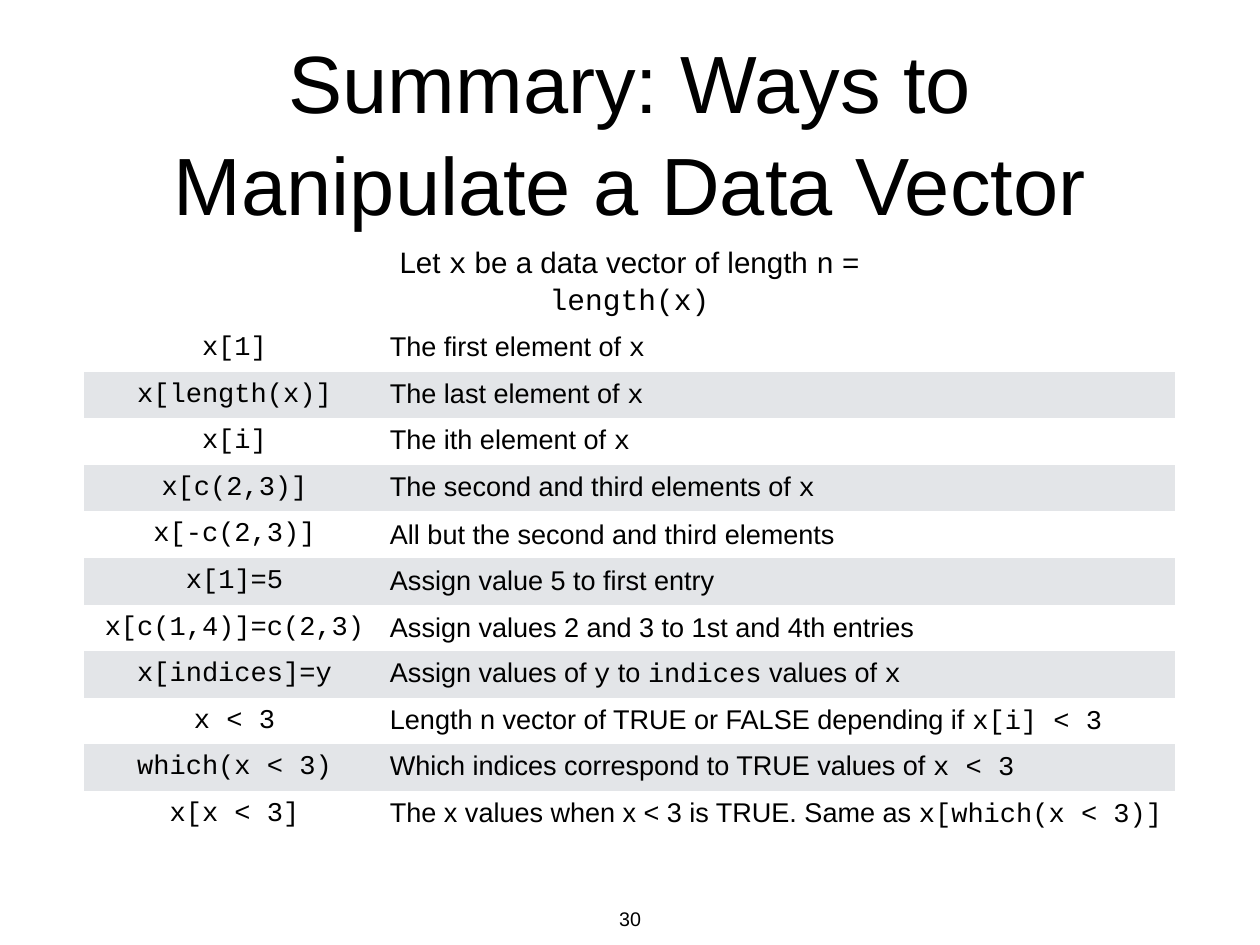
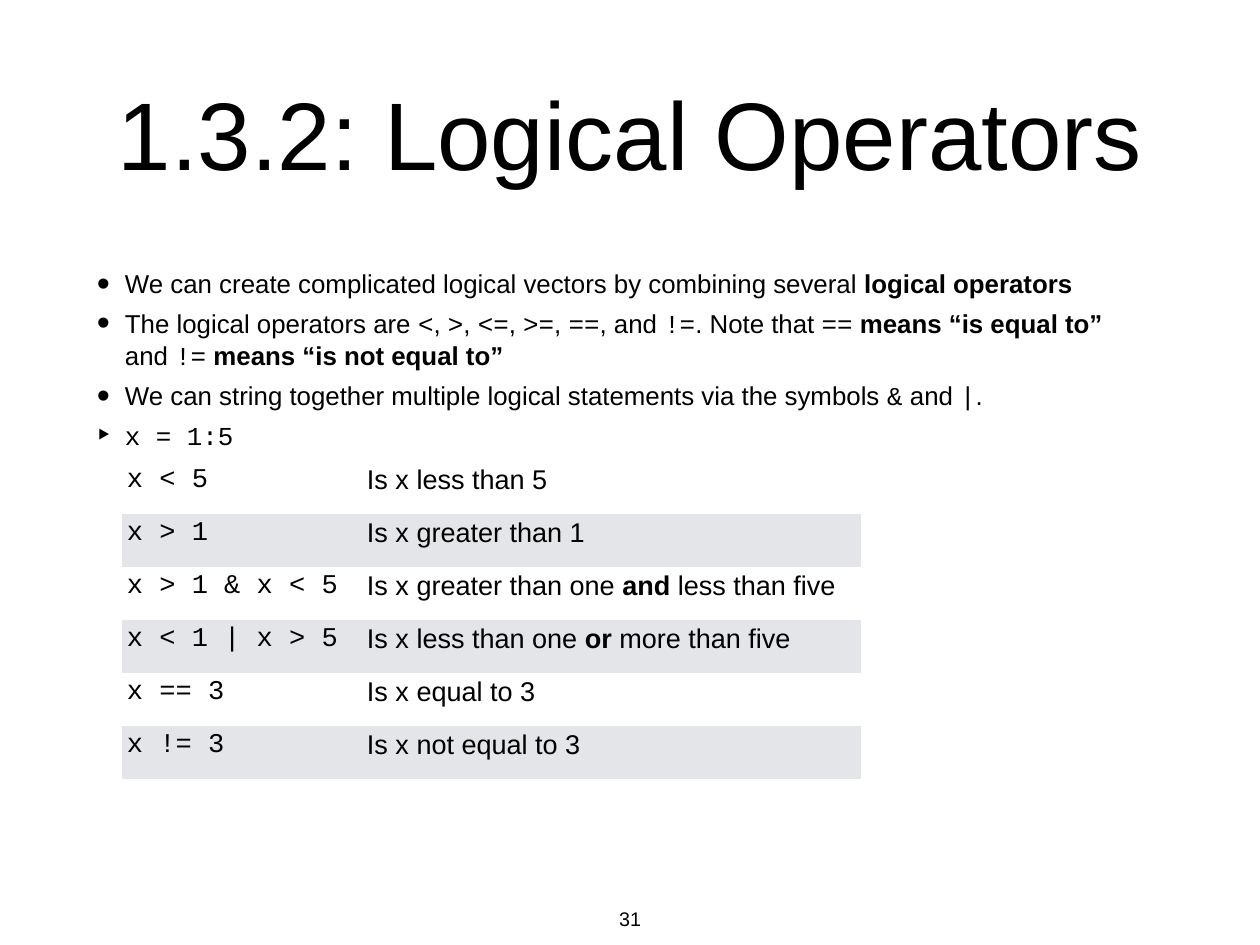
from dataclasses import dataclass

from lxml.etree import SubElement
from pptx import Presentation
from pptx.dml.color import RGBColor
from pptx.enum.text import MSO_ANCHOR, MSO_AUTO_SIZE, PP_ALIGN
from pptx.oxml.ns import qn
from pptx.util import Pt

PX = 10320
NO_STYLE_NO_GRID = "{2D5ABB26-0587-4C30-8999-92F81FD0307C}"


@dataclass(frozen=True)
class Theme:
    ink: RGBColor = RGBColor(0x00, 0x00, 0x00)
    row_fills: tuple = (RGBColor(0xFF, 0xFF, 0xFF), RGBColor(0xE3, 0xE5, 0xE8))
    prose: str = "Arial"
    code: str = "Courier New"
    caption: int = 24
    cell: int = 22
    bullet: int = 21
    page_number: int = 16
    line_spacing: float = 1.05


THEME = Theme()
FRAME_FORMAT = {
    "word_wrap": True,
    "auto_size": MSO_AUTO_SIZE.NONE,
    "vertical_anchor": MSO_ANCHOR.MIDDLE,
    "margin_left": 5 * PX,
    "margin_right": 5 * PX,
    "margin_top": 5 * PX,
    "margin_bottom": 5 * PX,
}


def write(para, text, size, align=PP_ALIGN.LEFT):
    """Fill a paragraph; `backticks` enclose code and *asterisks* enclose bold."""
    para.alignment = align
    for code_index, part in enumerate(text.split("`")):
        for bold_index, words in enumerate(part.split("*")):
            if not words:
                continue
            span = para.add_run()
            span.text = words
            font_format = {
                "name": THEME.code if code_index % 2 else THEME.prose,
                "size": Pt(size),
                "bold": bool(bold_index % 2),
            }
            for name, value in font_format.items():
                setattr(span.font, name, value)
            span.font.color.rgb = THEME.ink


def place(page, left, top, width, height, shape=None):
    """Position a shape, or a new text box, and return its formatted text frame."""
    box = shape or page.shapes.add_textbox(0, 0, 0, 0)
    bounds = {"left": left, "top": top, "width": width, "height": height}
    for name, value in bounds.items():
        setattr(box, name, value * PX)
    for name, value in FRAME_FORMAT.items():
        setattr(box.text_frame, name, value)
    return box.text_frame


caption = "Let `x` be a data vector of length `n` = `length(x)`"

bullets = [
    ("•", "We can create complicated logical vectors by combining several *logical operators*"),
    ("•", "The logical operators are `<`, `>`, `<=`, `>=`, `==`, and `!=`. Note that `==`"
          "* means “is equal to”* and `!=`* means “is not equal to”*"),
    ("•", "We can string together multiple logical statements via the symbols `&` and `|`."),
    ("‣", "`x = 1:5`"),
]

vector_rows = [
    ("x[1]", "The first element of `x`"),
    ("x[length(x)]", "The last element of `x`"),
    ("x[i]", "The ith element of `x`"),
    ("x[c(2,3)]", "The second and third elements of `x`"),
    ("x[-c(2,3)]", "All but the second and third elements"),
    ("x[1]=5", "Assign value 5 to first entry"),
    ("x[c(1,4)]=c(2,3)", "Assign values 2 and 3 to 1st and 4th entries"),
    ("x[indices]=y", "Assign values of `y` to `indices` values of `x`"),
    ("x < 3", "Length n vector of TRUE or FALSE depending if `x[i] < 3`"),
    ("which(x < 3)", "Which indices correspond to TRUE values of `x < 3`"),
    ("x[x < 3]", "The x values when x < 3 is TRUE. Same as `x[which(x < 3)]`"),
]

operator_rows = [
    ("x < 5", "Is x less than 5"),
    ("x > 1", "Is x greater than 1"),
    ("x > 1 & x < 5", "Is x greater than one *and* less than five"),
    ("x < 1 | x > 5", "Is x less than one *or* more than five"),
    ("x == 3", "Is x equal to 3"),
    ("x != 3", "Is x not equal to 3"),
]

slides = [
    {
        "title": "Summary: Ways to Manipulate a Data Vector", "title_size": 66, "number": "30",
        "rows": vector_rows, "left": 84, "top": 325, "columns": (301, 790), "height": 513,
        "code_align": PP_ALIGN.CENTER, "anchor": MSO_ANCHOR.MIDDLE,
    },
    {
        "title": "1.3.2: Logical Operators", "title_size": 78, "number": "31",
        "rows": operator_rows, "left": 122, "top": 461, "columns": (240, 499), "height": 318,
        "code_align": PP_ALIGN.LEFT, "anchor": MSO_ANCHOR.TOP,
    },
]

deck = Presentation()
deck.slide_width, deck.slide_height = 1260 * PX, 945 * PX
pages = []

for content in slides:
    page = deck.slides.add_slide(deck.slide_layouts[5])
    pages.append(page)

    title = place(page, 92, 25, 1076, 209, page.shapes.title).paragraphs[0]
    write(title, content["title"], content["title_size"], PP_ALIGN.CENTER)
    title.line_spacing = THEME.line_spacing

    number = place(page, 577, 901, 106, 36).paragraphs[0]
    write(number, content["number"], THEME.page_number, PP_ALIGN.CENTER)

    rows, columns = content["rows"], content["columns"]
    frame = page.shapes.add_table(
        len(rows), len(columns), content["left"] * PX, content["top"] * PX,
        sum(columns) * PX, content["height"] * PX)
    for style in frame.element.iter(qn("a:tableStyleId")):
        style.text = NO_STYLE_NO_GRID
    table = frame.table
    table.first_row = table.horz_banding = False
    for column, width in zip(table.columns, columns):
        column.width = width * PX

    cell_format = {
        "vertical_anchor": content["anchor"],
        "margin_left": 5 * PX,
        "margin_right": 5 * PX,
        "margin_top": 4 * PX,
        "margin_bottom": 4 * PX,
    }
    for row_index, (code, meaning) in enumerate(rows):
        texts = ((f"`{code}`", content["code_align"]), (meaning, PP_ALIGN.LEFT))
        for column_index, (text, align) in enumerate(texts):
            cell = table.cell(row_index, column_index)
            for name, value in cell_format.items():
                setattr(cell, name, value)
            cell.fill.solid()
            cell.fill.fore_color.rgb = THEME.row_fills[row_index % 2]
            write(cell.text_frame.paragraphs[0], text, THEME.cell, align)

summary_page, operators_page = pages

caption_para = place(summary_page, 330, 257, 599, 45).paragraphs[0]
write(caption_para, caption, THEME.caption, PP_ALIGN.CENTER)
caption_para.line_spacing = THEME.line_spacing

body = place(operators_page, 92, 251, 1026, 215)
for index, (symbol, text) in enumerate(bullets):
    para = body.add_paragraph() if index else body.paragraphs[0]
    write(para, text, THEME.bullet)
    para.space_before = Pt(6)
    para.line_spacing = THEME.line_spacing
    properties = para._p.get_or_add_pPr()
    properties.set("marL", str(28 * PX))
    properties.set("indent", str(-28 * PX))
    SubElement(properties, qn("a:buSzPct"), val="145000")
    SubElement(properties, qn("a:buFont"), typeface=THEME.prose)
    SubElement(properties, qn("a:buChar"), char=symbol)

deck.save("out.pptx")
